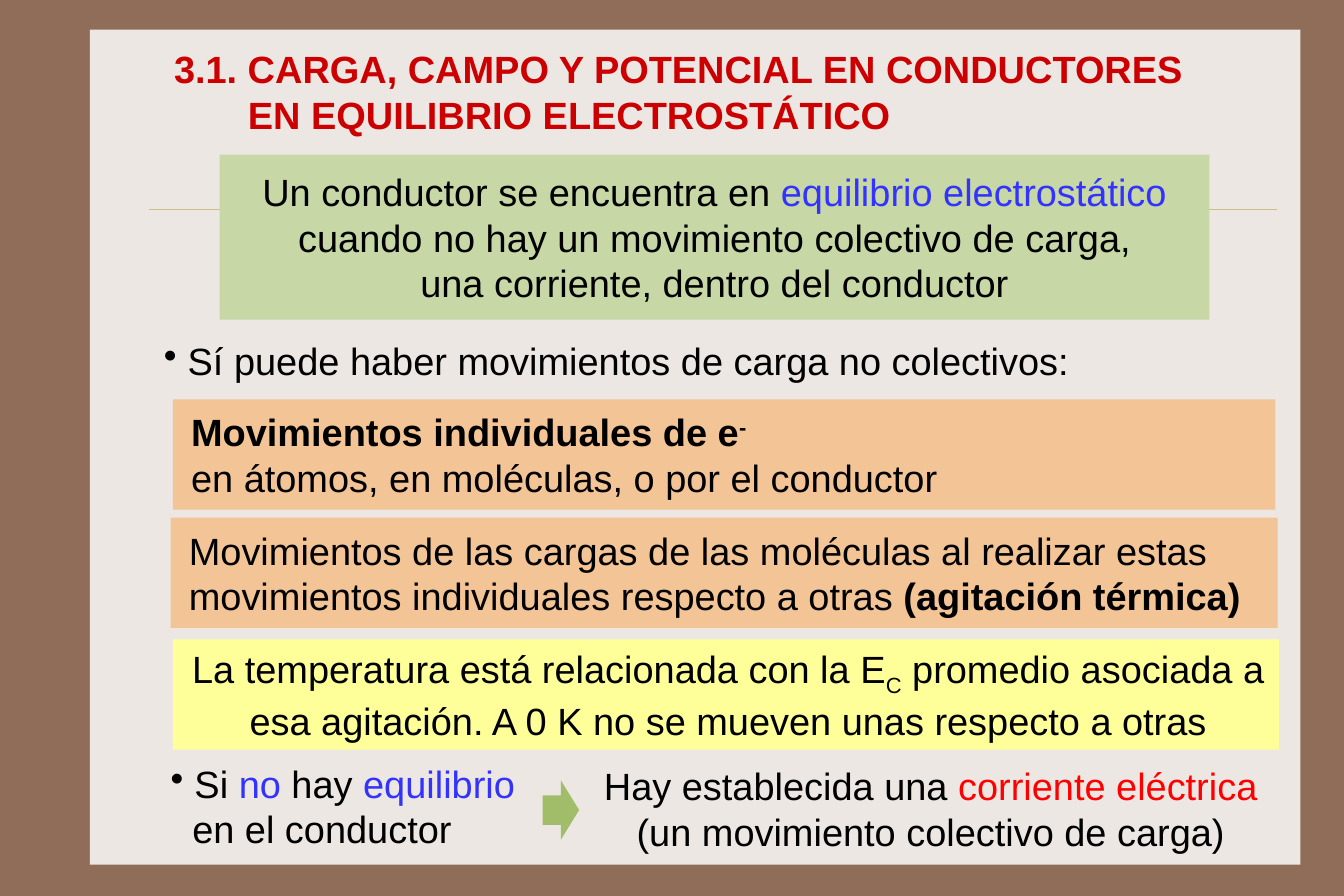
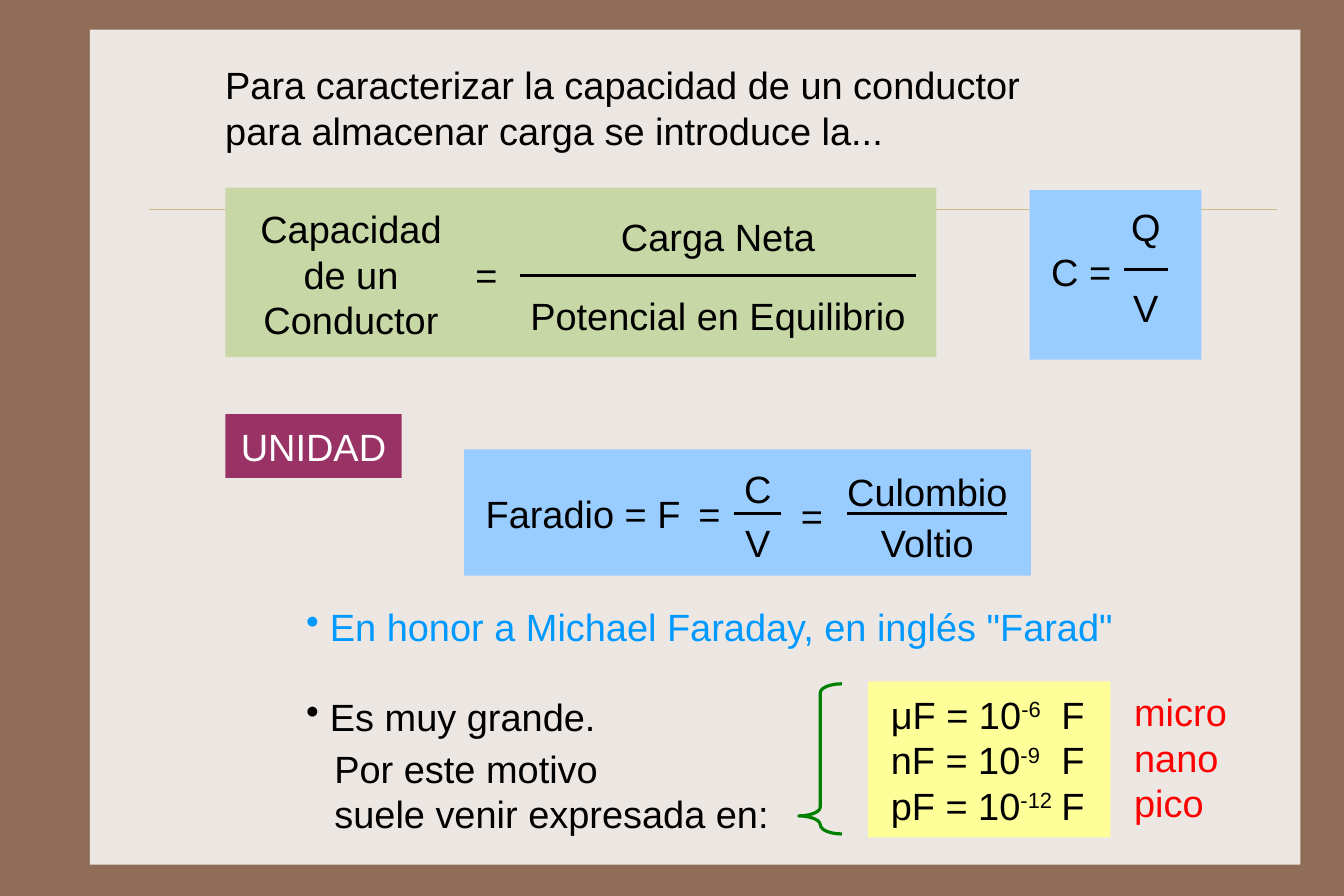
"""Build two slides on conductors in electrostatic equilibrium and on capacitance."""
import pptx
import pptx.util
import pptx.dml.color
import pptx.enum.shapes
import pptx.enum.text
import pptx.oxml
import pptx.oxml.ns

Inches, Pt = pptx.util.Inches, pptx.util.Pt
SHAPE = pptx.enum.shapes.MSO_SHAPE
ALIGN = {"l": pptx.enum.text.PP_ALIGN.LEFT, "c": pptx.enum.text.PP_ALIGN.CENTER}

THEME = {
    "font": "Arial", "size": 24, "hang": 0.21, "bar": 2, "rule_width": 0.25,
    "frame": "906D58", "paper": "EDE7E3", "rule": "CBBD83",
    "title": "CC0000", "text": "000000", "white": "FFFFFF",
    "blue": "3333FF", "sky": "0099FF", "red": "FF0000",
    "green_box": "C7D7A5", "orange_box": "F3C495", "yellow_box": "FFFF99",
    "blue_box": "99CCFF", "plum_box": "993366", "arrow": "A1BD69", "brace": "008000",
}
SLIDE_POINTS = (850.5, 567)
PAPER = (0.79, 0.26, 10.64, 7.34)
RULE = (1.31, 1.84, 11.22)
LINE = 0.51
SNUG, ROOMY, PADDED = (0.1, 0.05, 0.1, 0.05), (0.12, 0.08, 0.12, 0.08), (0.16, 0.08, 0.12, 0.08)

EQUILIBRIUM = [
    {"at": (1.42, 0.34, 9.57, 0.92), "ins": (0.11, 0.05, 0.11, 0.05), "color": "title", "bold": True,
     "paras": ["3.1. CARGA, CAMPO Y POTENCIAL EN CONDUCTORES",
               {"runs": "EN EQUILIBRIO ELECTROSTÁTICO", "left": 0.65}]},
    {"at": (1.93, 1.36, 8.7, 1.45), "fill": "green_box", "align": "c",
     "paras": [["Un conductor se encuentra en ", ("equilibrio electrostático", {"color": "blue"})],
               "cuando no hay un movimiento colectivo de carga,",
               "una corriente, dentro del conductor"]},
    {"at": (1.32, 2.89, 8.31, 0.56),
     "paras": [{"runs": "Sí puede haber movimientos de carga no colectivos:", "bullet": True}]},
    {"at": (1.52, 3.51, 9.69, 0.97), "fill": "orange_box", "ins": PADDED,
     "paras": [[("Movimientos individuales de e", {"bold": True}), ("-", {"bold": True, "base": 30})],
               "en átomos, en moléculas, o por el conductor"]},
    {"at": (1.5, 4.55, 9.73, 0.97), "fill": "orange_box", "ins": PADDED,
     "paras": [["Movimientos de las cargas de las moléculas al realizar estas "
                "movimientos individuales respecto a otras ",
                ("(agitación térmica)", {"bold": True})]]},
    {"at": (1.52, 5.62, 9.72, 0.97), "fill": "yellow_box", "ins": PADDED, "align": "c",
     "paras": [["La temperatura está relacionada con la E", ("C", {"base": -25}),
                " promedio asociada a esa agitación. A 0 K no se mueven unas respecto a otras"]]},
    {"at": (1.38, 6.6, 3.37, 0.97),
     "paras": [{"runs": ["Si ", ("no", {"color": "blue"}), " hay ", ("equilibrio", {"color": "blue"})],
                "bullet": True},
               {"runs": "en el conductor", "left": 0.19}]},
    {"at": (5.15, 6.62, 6.06, 0.97), "align": "c",
     "paras": [["Hay establecida una ", ("corriente eléctrica", {"color": "red"}),
                " (un movimiento colectivo de carga)"]]},
]

PREFIXES = [("μ", "-6", "micro"), ("n", "-9", "nano"), ("p", "-12", "pico")]
CAPACITY = [
    {"at": (1.86, 0.45, 7.44, 0.99),
     "paras": ["Para caracterizar la capacidad de un conductor para almacenar carga se introduce la..."]},
    {"at": (1.98, 1.65, 6.25, 1.49), "fill": "green_box"},
    {"at": (2.1, 1.75, 1.97, 1.32), "align": "c", "ins": SNUG, "paras": ["Capacidad de un Conductor"]},
    {"at": (9.05, 1.67, 1.51, 1.49), "fill": "blue_box"},
    {"at": (9.14, 2.13, 0.82, LINE), "ins": SNUG, "wrap": False, "paras": ["C ="]},
    {"at": (1.98, 3.64, 1.55, 0.56), "fill": "plum_box", "color": "white", "align": "c", "wrap": False,
     "paras": ["UNIDAD"]},
    {"at": (4.08, 3.95, 4.98, 1.11), "fill": "blue_box"},
    {"at": (4.17, 4.26, 2, LINE), "ins": SNUG, "wrap": False, "paras": ["Faradio = F"]},
    {"at": (2.57, 5.21, 7.4, 0.59), "color": "sky",
     "paras": [{"runs": 'En honor a Michael Faraday, en inglés "Farad"', "bullet": True}]},
    {"at": (2.57, 6.04, 2.9, LINE), "paras": [{"runs": "Es muy grande.", "bullet": True}]},
    {"at": (2.84, 6.49, 4.11, 0.92), "ins": SNUG, "paras": ["Por este motivo", "suele venir expresada en:"]},
    {"at": (7.63, 5.99, 2.13, 1.37), "fill": "yellow_box", "ins": (0.2, 0.08, 0.16, 0.08),
     "wrap": False,
     "paras": [{"runs": [f"{prefix}F = 10", (power, {"base": 30}), "\tF"], "tab": 1.5}
               for prefix, power, _ in PREFIXES]},
    {"at": (9.87, 6, 1.03, 1.31), "ins": SNUG, "color": "red", "paras": [name for _, _, name in PREFIXES]},
]
EQUALS = [(4.08, 2.16), (6.04, 4.26), (6.94, 4.27)]
FRACTIONS = [
    ("Carga Neta", "Potencial en Equilibrio", 6.31, 2.42, 3.48, 0.6, 0.1),
    ("Q", "V", 10.07, 2.37, 0.39, 0.64, 0.08),
    ("C", "V", 6.66, 4.51, 0.41, 0.47, 0),
    ("Culombio", "Voltio", 8.15, 4.51, 1.41, 0.45, 0),
]


def rgb(name):
    return pptx.dml.color.RGBColor.from_string(THEME[name])


def add_xml(parent, tag, **attrs):
    child = parent.makeelement(pptx.oxml.ns.qn(tag), attrs)
    parent.append(child)
    return child


def add_preset(s, kind, at, fill=None):
    shape = s.shapes.add_shape(kind, *map(Inches, at))
    shape.shadow.inherit = False
    shape.line.fill.background()
    if fill:
        shape.fill.solid()
        shape.fill.fore_color.rgb = rgb(fill)
    else:
        shape.fill.background()
    return shape


def add_line(s, x1, x2, y, color, width):
    line = s.shapes.add_connector(pptx.enum.shapes.MSO_CONNECTOR.STRAIGHT,
                                  *map(Inches, (x1, y, x2, y)))
    line.line.color.rgb = rgb(color)
    line.line.width = Pt(width)
    add_xml(line._element.spPr, "a:effectLst")


def fill_paragraph(p, para, align, color, bold):
    para = para if isinstance(para, dict) else {"runs": para}
    runs = para["runs"] if isinstance(para["runs"], list) else [para["runs"]]
    pPr = p._p.get_or_add_pPr()
    p.alignment = ALIGN[align]
    if para.get("bullet"):
        pPr.set("marL", str(Inches(THEME["hang"])))
        pPr.set("indent", str(-Inches(THEME["hang"])))
        add_xml(pPr, "a:buChar", char="•")
    elif "left" in para:
        pPr.set("marL", str(Inches(para["left"])))
    if "tab" in para:
        add_xml(add_xml(pPr, "a:tabLst"), "a:tab", pos=str(Inches(para["tab"])), algn="l")
    for run in runs:
        text, style = (run, {}) if isinstance(run, str) else run
        r = p.add_run()
        r.text = text
        r.font.name, r.font.size = THEME["font"], Pt(THEME["size"])
        r.font.color.rgb = rgb(style.get("color", color))
        r.font.bold = style.get("bold", bold)
        if "base" in style:
            r.font._element.set("baseline", str(style["base"] * 1000))


def add_box(s, at, paras=(), fill=None, ins=ROOMY, align="l", color="text",
            bold=False, wrap=True):
    if fill:
        sp = add_preset(s, SHAPE.RECTANGLE, at, fill)
    else:
        sp = s.shapes.add_textbox(*map(Inches, at))
    tf = sp.text_frame
    tf.word_wrap = wrap
    tf.vertical_anchor = pptx.enum.text.MSO_ANCHOR.MIDDLE
    tf.margin_left, tf.margin_top, tf.margin_right, tf.margin_bottom = map(Inches, ins)
    for i, para in enumerate(paras):
        p = tf.add_paragraph() if i else tf.paragraphs[0]
        fill_paragraph(p, para, align, color, bold)


def add_fraction(s, top, bottom, center, y, width, up, down):
    add_line(s, center - width / 2, center + width / 2, y, "text", THEME["bar"])
    box = width + 0.2
    for text, row in ((top, y - up), (bottom, y + down)):
        add_box(s, (center - box / 2, row, box, LINE), [text], ins=SNUG, align="c", wrap=False)


def add_slide(prs, boxes):
    s = prs.slides.add_slide(prs.slide_layouts[6])
    s.background.fill.solid()
    s.background.fill.fore_color.rgb = rgb("frame")
    add_preset(s, SHAPE.RECTANGLE, PAPER, "paper")
    left, y, right = RULE
    add_line(s, left, right, y, "rule", THEME["rule_width"])
    for box in boxes:
        add_box(s, **box)
    return s


def main():
    prs = pptx.Presentation()
    prs.slide_width, prs.slide_height = map(Pt, SLIDE_POINTS)

    s = add_slide(prs, EQUILIBRIUM)
    arrow = add_preset(s, SHAPE.RIGHT_ARROW, (4.77, 6.86, 0.32, 0.52), "arrow")
    arrow.adjustments[0] = arrow.adjustments[1] = 0.5

    s = add_slide(prs, CAPACITY)
    for x, y in EQUALS:
        add_box(s, (x, y, 0.4, LINE), ["="], ins=SNUG, wrap=False)
    for fraction in FRACTIONS:
        add_fraction(s, *fraction)
    brace = add_preset(s, SHAPE.LEFT_BRACE, (7.02, 6.01, 0.38, 1.32))
    brace.adjustments[0], brace.adjustments[1] = 0.42, 0.88
    brace.line.color.rgb = rgb("brace")
    brace.line.width = Pt(THEME["bar"])

    prs.save("out.pptx")


if __name__ == "__main__":
    main()
